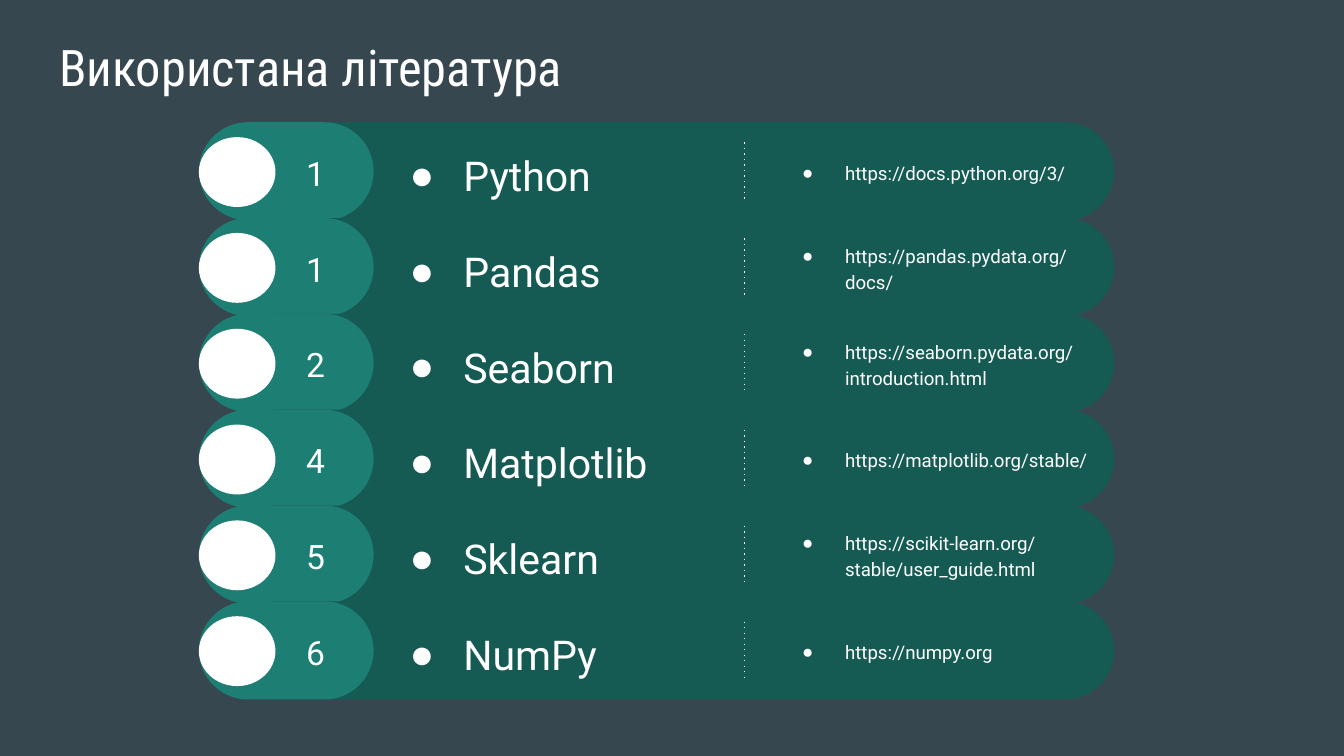
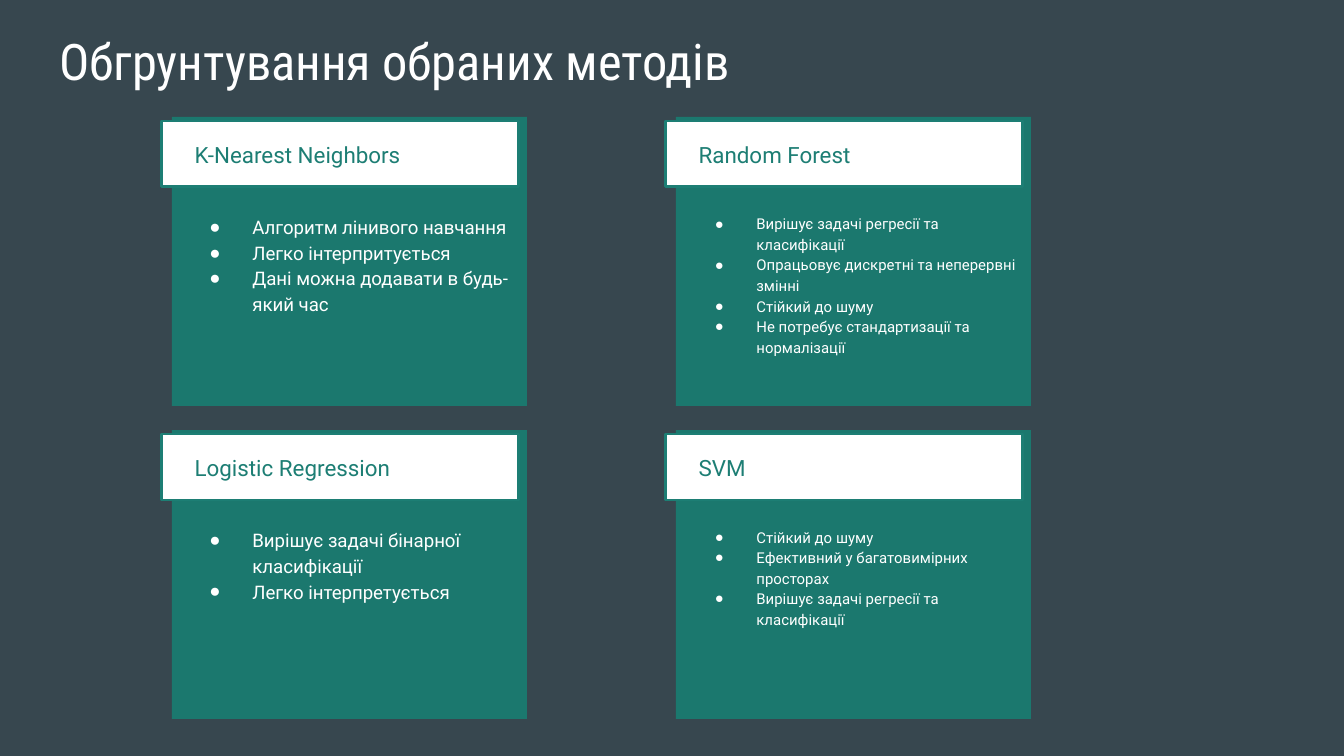
from lxml import etree
from pptx import Presentation
from pptx.dml.color import RGBColor
from pptx.enum.shapes import MSO_CONNECTOR, MSO_SHAPE
from pptx.enum.text import MSO_ANCHOR, MSO_AUTO_SIZE, PP_ALIGN
from pptx.oxml.ns import qn
from pptx.util import Emu, Pt

TOP, MIDDLE = MSO_ANCHOR.TOP, MSO_ANCHOR.MIDDLE
LEFT, NO_FIT = PP_ALIGN.LEFT, MSO_AUTO_SIZE.NONE
RECT, PILL, OVAL = MSO_SHAPE.RECTANGLE, MSO_SHAPE.ROUNDED_RECTANGLE, MSO_SHAPE.OVAL
STRAIGHT = MSO_CONNECTOR.STRAIGHT

SLIDE_WIDTH = 1000
SLIDE_HEIGHT = SLIDE_WIDTH * 9 / 16
SLATE, WHITE = "37474F", "FFFFFF"
DEEP_TEAL, TEAL, CARD_TEAL = "155B54", "1D7E74", "1B786E"
BODY_FONT, TITLE_FONT, BULLET_FONT = "Roboto", "Roboto Condensed", "Arial"
INSET = 10
LIST_INDENT = 50

SOURCES_TITLE = "Використана література"
SOURCES = [
    ("1", "Python", "https://docs.python.org/3/"),
    ("1", "Pandas", "https://pandas.pydata.org/docs/"),
    ("2", "Seaborn", "https://seaborn.pydata.org/introduction.html"),
    ("4", "Matplotlib", "https://matplotlib.org/stable/"),
    ("5", "Sklearn", "https://scikit-learn.org/stable/user_guide.html"),
    ("6", "NumPy", "https://numpy.org"),
]
FIRST_SOURCE, SOURCE_PITCH = 95, 71.3

METHODS_TITLE = "Обгрунтування обраних методів"
METHOD_COLUMNS = [
    {
        "size": 10,
        "hanging": 32,
        "methods": [
            ("K-Nearest Neighbors", [
                "Алгоритм лінивого навчання",
                "Легко інтерпритується",
                "Дані можна додавати в будь-який час",
            ]),
            ("Logistic Regression", [
                "Вирішує задачі бінарної класифікації",
                "Легко інтерпретується",
            ]),
        ],
    },
    {
        "size": 8,
        "hanging": 31,
        "methods": [
            ("Random Forest", [
                "Вирішує задачі регресії та класифікації",
                "Опрацьовує дискретні та неперервні змінні",
                "Стійкий до шуму",
                "Не потребує стандартизації та нормалізації",
            ]),
            ("SVM", [
                "Стійкий до шуму",
                "Ефективний у багатовимірних просторах",
                "Вирішує задачі регресії та класифікації",
            ]),
        ],
    },
]
CARD_LEFT, CARD_TOP = 128, 87
COLUMN_STEP, ROW_STEP = 375, 233


def px(length):
    return Emu(round(length * 9144))


def rgb(color):
    return RGBColor.from_string(color)


def write(frame, lines, size, color=WHITE, font=BODY_FONT, anchor=TOP, indent=0, hanging=0):
    frame.word_wrap = True
    frame.auto_size = NO_FIT
    frame.vertical_anchor = anchor
    frame.margin_left = frame.margin_right = px(INSET)
    frame.margin_top = frame.margin_bottom = px(INSET)
    for index, line in enumerate(lines):
        paragraph = frame.add_paragraph() if index else frame.paragraphs[0]
        paragraph.alignment = LEFT
        run = paragraph.add_run()
        run.text = line
        run.font.size = Pt(size)
        run.font.name = font
        run.font.color.rgb = rgb(color)
        properties = paragraph._p.get_or_add_pPr()
        properties.set("marL", str(px(indent)))
        properties.set("indent", str(px(-hanging)))
        if hanging:
            paragraph.line_spacing = 1.15
            bullet_color = etree.SubElement(properties, qn("a:buClr"))
            etree.SubElement(bullet_color, qn("a:srgbClr"), val=color)
            etree.SubElement(properties, qn("a:buFont"), typeface=BULLET_FONT)
            etree.SubElement(properties, qn("a:buChar"), char="●")


def add_text(group, box, lines, size, **style):
    textbox = group.shapes.add_textbox(*map(px, box))
    write(textbox.text_frame, lines, size, **style)


def add_block(group, kind, box, fill, outline=None):
    block = group.shapes.add_shape(kind, *map(px, box))
    block.shadow.inherit = False
    block.fill.solid()
    block.fill.fore_color.rgb = rgb(fill)
    if kind == PILL:
        block.adjustments[0] = 0.5
    if outline:
        block.line.color.rgb = rgb(outline)
        block.line.width = Pt(1.5)
    else:
        block.line.fill.background()


def add_divider(group, x, top, bottom):
    divider = group.shapes.add_connector(STRAIGHT, px(x), px(top), px(x), px(bottom))
    divider.line.color.rgb = rgb(WHITE)
    divider.line.width = Pt(0.75)
    properties = divider._element.spPr
    etree.SubElement(properties.find(qn("a:ln")), qn("a:prstDash"), val="dot")
    etree.SubElement(properties, qn("a:effectLst"))


def add_titled_slide(prs, title, top):
    slide = prs.slides.add_slide(prs.slide_layouts[5])
    heading = slide.shapes.title
    heading.left, heading.top, heading.width, heading.height = map(px, (34, top, 932, 63))
    write(heading.text_frame, [title], 27, font=TITLE_FONT)
    return slide


def add_source(slide, top, number, library, address):
    row = slide.shapes.add_group_shape()
    add_block(row, PILL, (169, top - 4, 660, 73), DEEP_TEAL)
    add_text(row, (569, top, 256, 65), [address], 10,
             anchor=MIDDLE, indent=LIST_INDENT, hanging=32)
    add_text(row, (285, top, 256, 65), [library], 22,
             anchor=MIDDLE, indent=LIST_INDENT, hanging=40)
    add_block(row, PILL, (148, top - 4, 130, 73), TEAL)
    add_block(row, OVAL, (148, top + 7, 57, 52), WHITE)
    add_text(row, (206, top + 14, 67, 39), [number], 18, anchor=MIDDLE, indent=12)
    add_divider(row, 554, top + 11, top + 55)


def add_method(slide, left, top, name, reasons, size, hanging):
    card = slide.shapes.add_group_shape()
    add_block(card, RECT, (left, top, 264, 215), CARD_TEAL)
    add_block(card, RECT, (left - 8, top + 3, 266, 49), WHITE, outline=TEAL)
    add_text(card, (left + 7, top + 8, 236, 40), [name], 12, color=TEAL)
    add_text(card, (left, top + 61, 264, 118), reasons, size,
             indent=LIST_INDENT, hanging=hanging)


def main():
    prs = Presentation()
    prs.slide_width, prs.slide_height = px(SLIDE_WIDTH), px(SLIDE_HEIGHT)
    background = prs.slide_master.background.fill
    background.solid()
    background.fore_color.rgb = rgb(SLATE)

    sources = add_titled_slide(prs, SOURCES_TITLE, 17)
    for index, source in enumerate(SOURCES):
        add_source(sources, FIRST_SOURCE + index * SOURCE_PITCH, *source)

    methods = add_titled_slide(prs, METHODS_TITLE, 12)
    for column, group in enumerate(METHOD_COLUMNS):
        for row, (name, reasons) in enumerate(group["methods"]):
            add_method(methods, CARD_LEFT + column * COLUMN_STEP, CARD_TOP + row * ROW_STEP,
                       name, reasons, group["size"], group["hanging"])

    prs.save("out.pptx")


if __name__ == "__main__":
    main()
